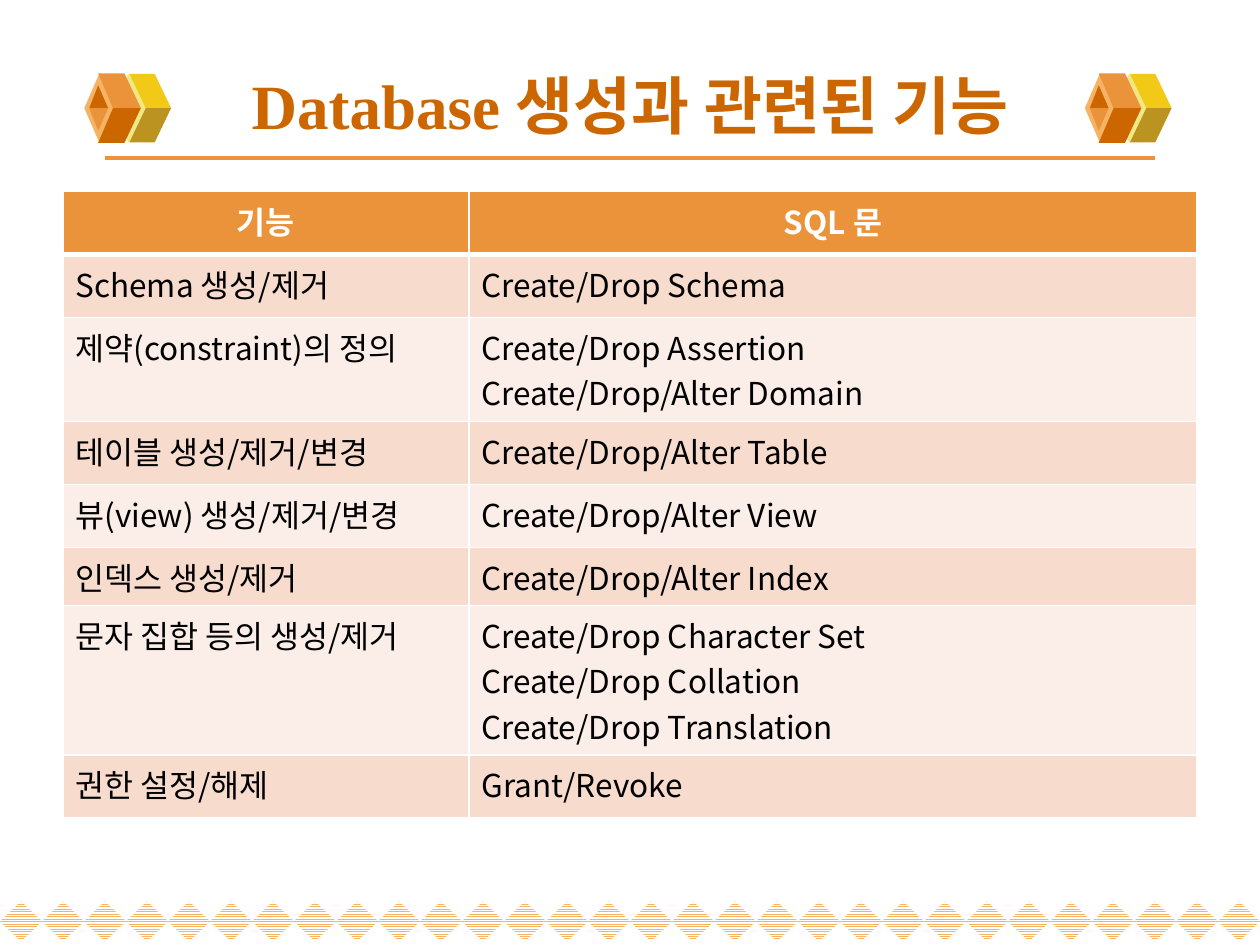
from lxml import etree
from pptx import Presentation
from pptx.dml.color import RGBColor
from pptx.enum.dml import MSO_PATTERN
from pptx.enum.shapes import MSO_CONNECTOR, MSO_SHAPE
from pptx.enum.text import MSO_ANCHOR, PP_ALIGN
from pptx.oxml.ns import qn
from pptx.util import Cm, Pt

DIAMOND = MSO_SHAPE.DIAMOND
STRIPES = MSO_PATTERN.NARROW_HORIZONTAL
STRAIGHT = MSO_CONNECTOR.STRAIGHT
MIDDLE = MSO_ANCHOR.MIDDLE
LEFT, CENTER = PP_ALIGN.LEFT, PP_ALIGN.CENTER

SANS, SERIF = "Noto Sans CJK KR", "Times New Roman"
COLORS = {
    "white": "FFFFFF", "black": "000000", "rust": "CC6600",
    "orange": "EB933B", "peach": "F5B363", "cream": "F1E785",
    "yellow": "F3C917", "olive": "BB9321",
    "dark": "F7DCCE", "light": "FBEEE8",
}

COLS = [8.18, 14.68]
ROWS = [  # height, function, statements
    (1.27, "기능", ["SQL 문"]),
    (1.27, "Schema 생성/제거", ["Create/Drop Schema"]),
    (1.93, "제약(constraint)의 정의",
     ["Create/Drop Assertion", "Create/Drop/Alter Domain"]),
    (1.27, "테이블 생성/제거/변경", ["Create/Drop/Alter Table"]),
    (1.27, "뷰(view) 생성/제거/변경", ["Create/Drop/Alter View"]),
    (1.09, "인덱스 생성/제거", ["Create/Drop/Alter Index"]),
    (2.74, "문자 집합 등의 생성/제거",
     ["Create/Drop Character Set", "Create/Drop Collation",
      "Create/Drop Translation"]),
    (1.27, "권한 설정/해제", ["Grant/Revoke"]),
]

# Upper faces of the cube, measured from its left corner
SIDE = [(1.24, 0), (1.75, 0), (1.42, 0.69), (0.91, 0.69)]
FRONT = [(0.58, 0), (1.14, 0), (0.81, 0.7), (0.28, 0.7)]
NOTCH = [(0.28, 0.46), (0.1, 0), (0.48, 0)]


def color(name):
    return RGBColor.from_string(COLORS[name])


def add_run(para, text, size, tint, bold=False, font=SANS):
    run = para.add_run()
    run.text = text
    run.font.size, run.font.bold, run.font.name = Pt(size), bold, font
    run.font.color.rgb = color(tint)
    east = etree.SubElement(run.font._element, qn("a:ea"))
    east.set("typeface", SANS)


def paint(shape, tint):
    shape.shadow.inherit = False
    shape.line.fill.background()
    shape.fill.solid()
    shape.fill.fore_color.rgb = color(tint)


def add_diamond(slide, left, top, width, height, tint):
    shape = slide.shapes.add_shape(
        DIAMOND, Cm(left), Cm(top), Cm(width), Cm(height))
    paint(shape, tint)
    return shape


def add_mirror(slide, left, mid, points, upper, lower):
    """Draw an outline above the middle line and its mirror image below."""
    for sign, tint in ((-1, upper), (1, lower)):
        dots = [(Cm(left + x), Cm(mid + sign * y)) for x, y in points]
        pen = slide.shapes.build_freeform(*dots[0])
        pen.add_line_segments(dots[1:], close=True)
        paint(pen.convert_to_shape(), tint)


def add_cube(slide, left, mid=2.18):
    add_diamond(slide, left + 0.48, mid - 0.7, 0.84, 1.4, "cream")
    add_mirror(slide, left, mid, SIDE, "yellow", "olive")
    add_diamond(slide, left, mid - 0.7, 0.61, 1.4, "peach")
    add_mirror(slide, left, mid, FRONT, "orange", "rust")
    add_mirror(slide, left, mid, NOTCH, "rust", "orange")


def add_band(slide, count=30):
    step = 25.4 / count
    for i in range(count):
        shape = add_diamond(slide, i * step, 18.17, step, 0.81, "white")
        shape.fill.patterned()
        shape.fill.pattern = STRIPES
        shape.fill.fore_color.rgb = color("peach")
        shape.fill.back_color.rgb = color("white")


def add_rule(slide):
    rule = slide.shapes.add_connector(
        STRAIGHT, Cm(2.12), Cm(3.18), Cm(23.28), Cm(3.18))
    rule.line.color.rgb = color("orange")
    rule.line.width = Pt(2.25)
    etree.SubElement(rule._element.spPr, qn("a:effectLst"))


def set_title(slide):
    title = slide.shapes.title
    title.left, title.top = Cm(1.27), Cm(1.14)
    title.width, title.height = Cm(22.86), Cm(1.93)
    frame = title.text_frame
    frame.vertical_anchor = MIDDLE
    para = frame.paragraphs[0]
    para.alignment = CENTER
    add_run(para, "Database 생성과 관련된 기능", 36, "rust", True, SERIF)


def set_edges(cell, top, bottom):
    props = cell._tc.get_or_add_tcPr()
    for side, width in (("L", 1), ("R", 1), ("T", top), ("B", bottom)):
        edge = etree.SubElement(props, qn("a:ln" + side), w=str(Pt(width)))
        fill = etree.SubElement(edge, qn("a:solidFill"))
        etree.SubElement(fill, qn("a:srgbClr"), val=COLORS["white"])


def fill_cell(cell, lines, row):
    head = row == 0
    set_edges(cell, 3 if row == 1 else 1, 3 if head else 1)
    cell.fill.solid()
    tint = "orange" if head else "dark" if row % 2 else "light"
    cell.fill.fore_color.rgb = color(tint)
    frame = cell.text_frame
    for i, line in enumerate(lines):
        para = frame.add_paragraph() if i else frame.paragraphs[0]
        para.alignment = CENTER if head else LEFT
        add_run(para, line, 18, "white" if head else "black", head)


def add_grid(slide):
    high = sum(row[0] for row in ROWS)
    table = slide.shapes.add_table(
        len(ROWS), len(COLS), Cm(1.27), Cm(3.86),
        Cm(sum(COLS)), Cm(high)).table
    for col, width in zip(table.columns, COLS):
        col.width = Cm(width)
    for i, (height, task, lines) in enumerate(ROWS):
        table.rows[i].height = Cm(height)
        fill_cell(table.cell(i, 0), [task], i)
        fill_cell(table.cell(i, 1), lines, i)


def main():
    deck = Presentation()
    deck.slide_width, deck.slide_height = Cm(25.4), Cm(19.05)
    slide = deck.slides.add_slide(deck.slide_layouts[5])
    add_band(slide)
    add_rule(slide)
    for left in (1.7, 21.87):
        add_cube(slide, left)
    set_title(slide)
    add_grid(slide)
    deck.save("out.pptx")


if __name__ == "__main__":
    main()
